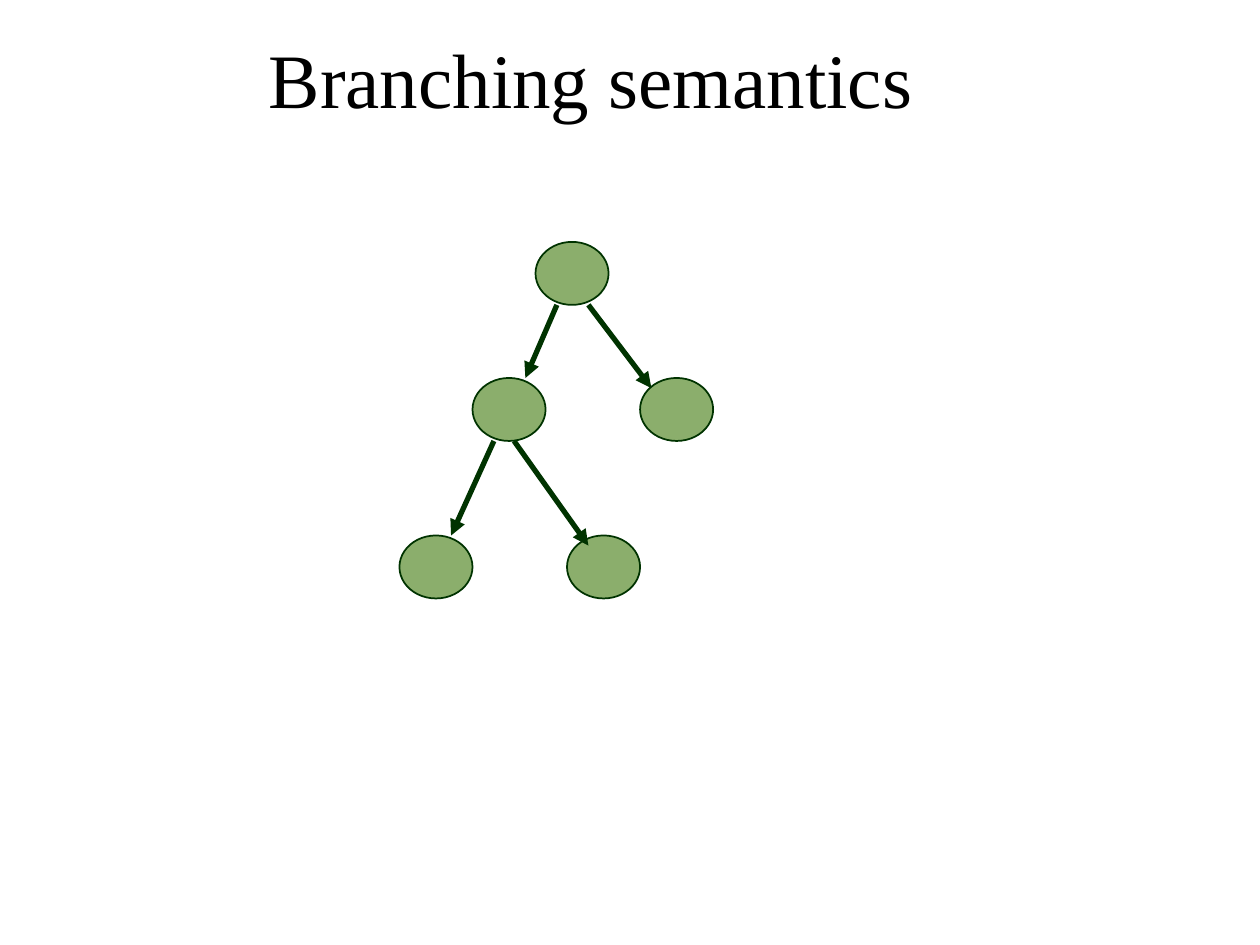
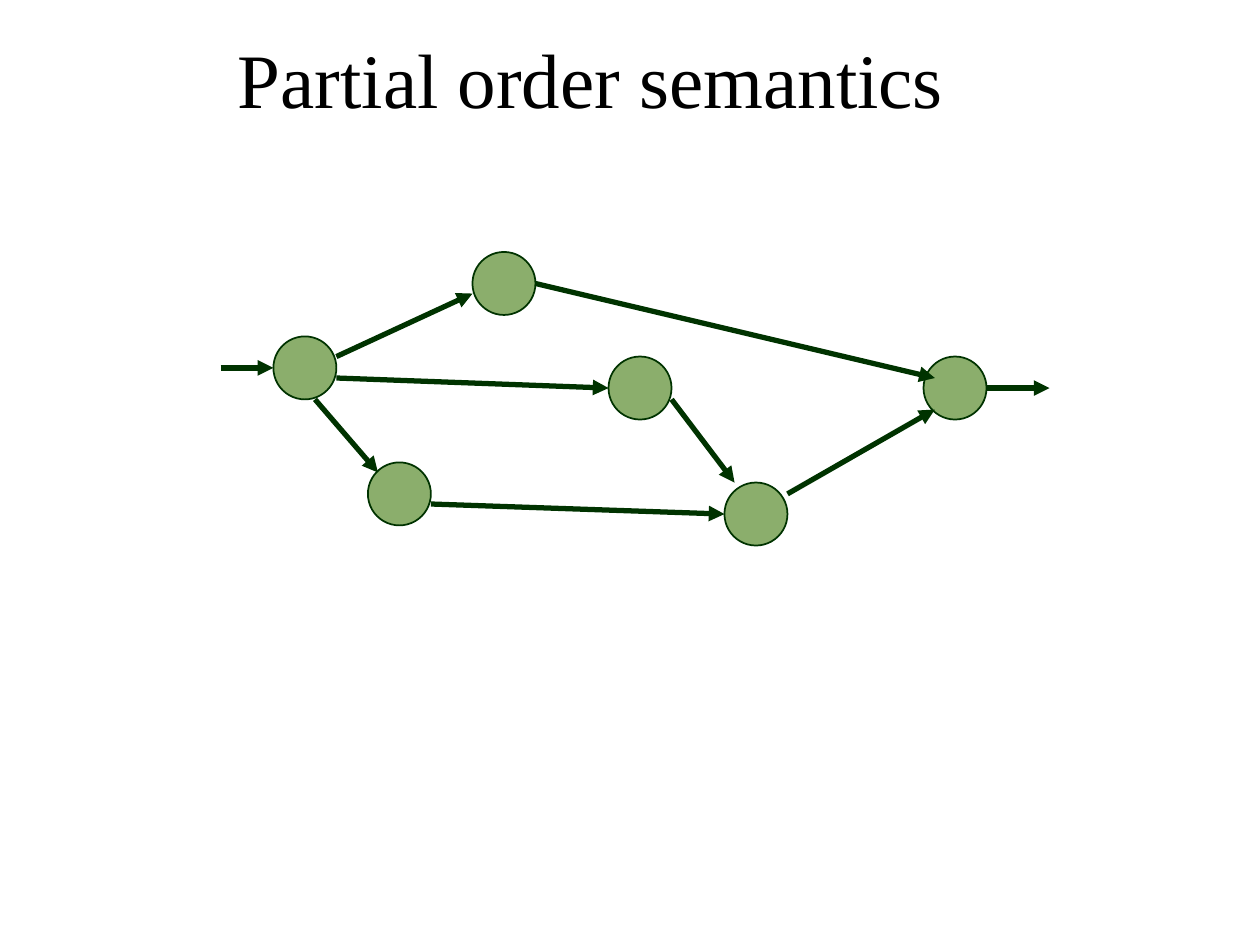
from pptx import Presentation
from pptx.dml.color import RGBColor
from pptx.enum.shapes import MSO_CONNECTOR as CONN, MSO_SHAPE as SHAPE
from pptx.enum.text import MSO_ANCHOR as ANCHOR, PP_ALIGN as ALIGN
from pptx.oxml.ns import qn
from pptx.util import Inches, Pt
from lxml.etree import SubElement


def rgb(value):
    return RGBColor.from_string(value)


def assign(obj, values):
    for name, value in values.items():
        setattr(obj, name, value)


class Deck:
    GREEN, DARK, BLACK = "8BAE6C", "003300", "000000"
    FRAME = dict(word_wrap=True, vertical_anchor=ANCHOR.MIDDLE,
                 margin_left=Inches(0.02), margin_right=Inches(0.02),
                 margin_top=Inches(0.05), margin_bottom=Inches(0.05))
    PARAGRAPH = dict(alignment=ALIGN.CENTER, line_spacing=0.17, space_before=Pt(5.2))
    FONT = dict(name="Times New Roman", size=Pt(44))

    def __init__(self):
        self.prs = Presentation()
        assign(self.prs, dict(slide_width=Inches(10), slide_height=Inches(7.5)))

    def slide(self, title):
        self.shapes = self.prs.slides.add_slide(self.prs.slide_layouts[6]).shapes
        self.title(title)

    def title(self, text):
        sp = self.shapes.add_textbox(*map(Inches, (0.44, 0.2, 8.5, 1.25)))
        tf = sp.text_frame
        assign(tf, self.FRAME)
        p = tf.paragraphs[0]
        assign(p, self.PARAGRAPH)
        pPr = p._p.get_or_add_pPr()
        pPr.set("marL", str(Inches(0.38)))
        pPr.set("indent", str(Inches(-0.38)))
        r = p.add_run()
        r.text = text
        assign(r.font, self.FONT)
        r.font.color.rgb = rgb(self.BLACK)

    def stroke(self, line, width):
        line.color.rgb = rgb(self.DARK)
        line.width = Pt(width)

    def node(self, x, y, width, height):
        sp = self.shapes.add_shape(SHAPE.OVAL, *map(Inches, (x, y, width, height)))
        sp.shadow.inherit = False
        sp.fill.solid()
        sp.fill.fore_color.rgb = rgb(self.GREEN)
        self.stroke(sp.line, 0.99)

    def arrow(self, *ends):
        cxn = self.shapes.add_connector(CONN.STRAIGHT, *map(Inches, ends))
        self.stroke(cxn.line, 3)
        SubElement(cxn.line._get_or_add_ln(), qn("a:tailEnd"), type="triangle")
        SubElement(cxn._element.spPr, qn("a:effectLst"))

    def graph(self, title, node_size, nodes, arrows):
        self.slide(title)
        for node in nodes:
            self.node(*node, *node_size)
        for ends in arrows:
            self.arrow(*ends)


deck = Deck()
deck.graph(
    "Branching semantics", (0.58, 0.5),
    [(4.25, 1.92), (5.08, 3), (3.75, 3), (4.5, 4.25), (3.17, 4.25)],
    [(4.42, 2.42, 4.17, 3), (4.67, 2.42, 5.17, 3.08),
     (3.92, 3.5, 3.58, 4.25), (4.08, 3.5, 4.67, 4.33)])
deck.graph(
    "Partial order semantics", (0.5, 0.5),
    [(2.17, 2.67), (2.92, 3.67), (3.75, 2), (4.83, 2.83), (5.75, 3.83), (7.33, 2.83)],
    [(2.5, 3.17, 3, 3.75), (3.42, 4, 5.75, 4.08), (2.67, 2.83, 3.75, 2.33),
     (4.25, 2.25, 7.42, 3), (2.67, 3, 4.83, 3.08), (5.33, 3.17, 5.83, 3.83),
     (6.25, 3.92, 7.42, 3.25), (1.75, 2.92, 2.17, 2.92), (7.83, 3.08, 8.33, 3.08)])
deck.prs.save("out.pptx")
